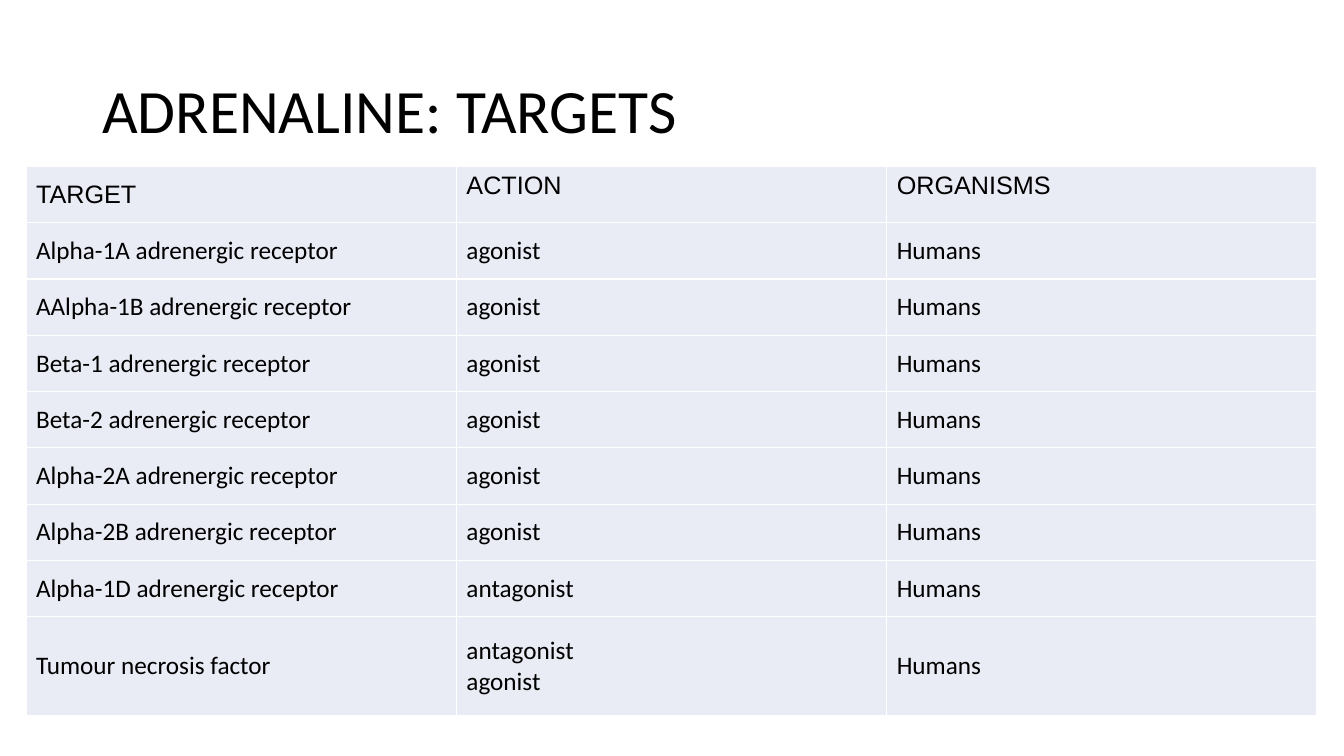
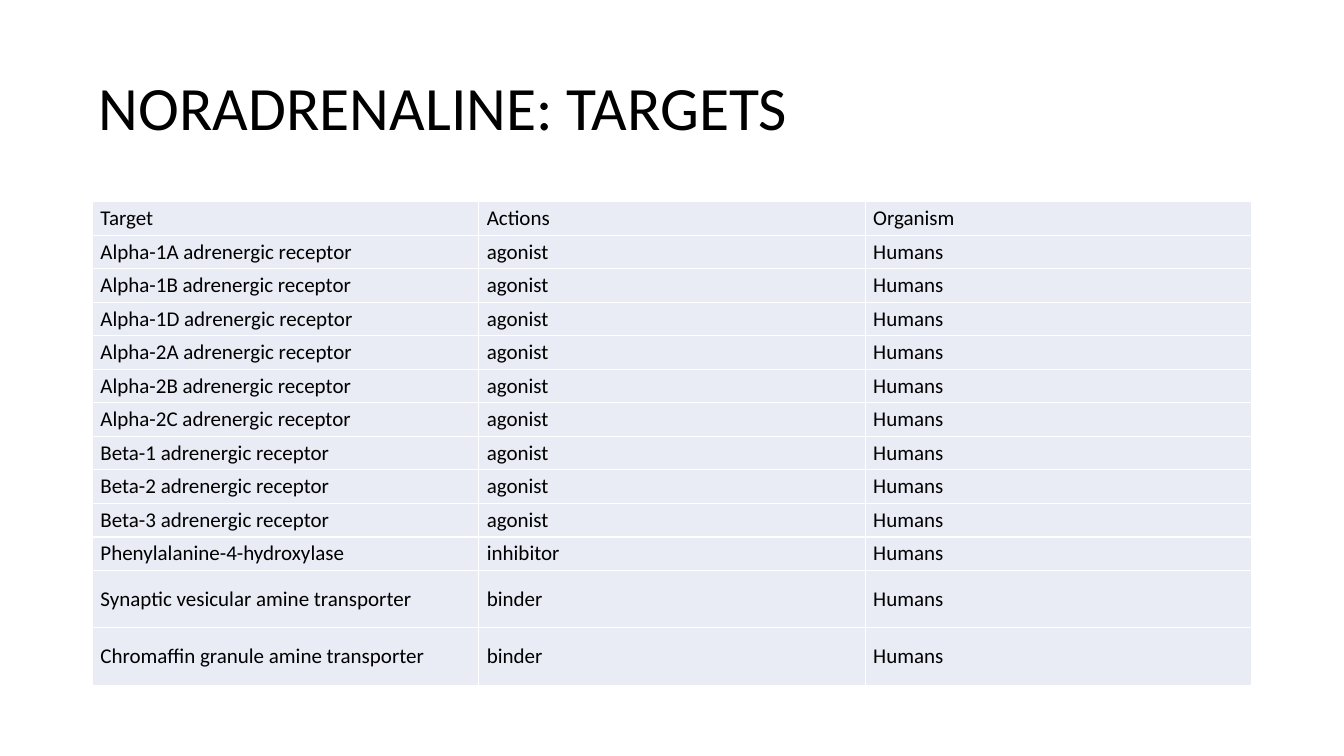
from lxml import etree
from pptx import Presentation
from pptx import util as u
from pptx.dml.color import RGBColor
from pptx.enum import text
from pptx.oxml.ns import qn

BLACK = RGBColor(0x00, 0x00, 0x00)
WHITE = RGBColor(0xFF, 0xFF, 0xFF)
CELL_FILL = RGBColor(0xE9, 0xEB, 0xF5)
BODY_FONT = "Calibri"
HEADER_FONT = "Arial"
BORDER_WIDTH = u.Pt(1)

# The slide is a grid of 160 columns by 90 rows of square units
SLIDE_WIDTH, SLIDE_HEIGHT = u.Inches(13.333), u.Inches(7.5)
UNIT = SLIDE_HEIGHT / 90
TITLE_SIZE = (138, 17.4)

ADRENALINE = [
    ("TARGET", "ACTION", "ORGANISMS"),
    ("Alpha-1A adrenergic receptor", "agonist", "Humans"),
    ("AAlpha-1B adrenergic receptor", "agonist", "Humans"),
    ("Beta-1 adrenergic receptor", "agonist", "Humans"),
    ("Beta-2 adrenergic receptor", "agonist", "Humans"),
    ("Alpha-2A adrenergic receptor", "agonist", "Humans"),
    ("Alpha-2B adrenergic receptor", "agonist", "Humans"),
    ("Alpha-1D adrenergic receptor", "antagonist", "Humans"),
    ("Tumour necrosis factor", "antagonist\nagonist", "Humans"),
]
NORADRENALINE = [
    ("Target", "Actions", "Organism"),
    ("Alpha-1A adrenergic receptor", "agonist", "Humans"),
    ("Alpha-1B adrenergic receptor", "agonist", "Humans"),
    ("Alpha-1D adrenergic receptor", "agonist", "Humans"),
    ("Alpha-2A adrenergic receptor", "agonist", "Humans"),
    ("Alpha-2B adrenergic receptor", "agonist", "Humans"),
    ("Alpha-2C adrenergic receptor", "agonist", "Humans"),
    ("Beta-1 adrenergic receptor", "agonist", "Humans"),
    ("Beta-2 adrenergic receptor", "agonist", "Humans"),
    ("Beta-3 adrenergic receptor", "agonist", "Humans"),
    ("Phenylalanine-4-hydroxylase", "inhibitor", "Humans"),
    ("Synaptic vesicular amine transporter", "binder", "Humans"),
    ("Chromaffin granule amine transporter", "binder", "Humans"),
]


def grid(*units):
    """Turn grid units into slide lengths."""
    return [u.Emu(round(value * UNIT)) for value in units]


def style_text(text_frame, font_name, size):
    for paragraph in text_frame.paragraphs:
        for run in paragraph.runs:
            run.font.name = font_name
            run.font.size = u.Pt(size)
            run.font.color.rgb = BLACK


def add_title(slide, title, corner):
    shape = slide.shapes.add_textbox(*grid(*corner, *TITLE_SIZE))
    text_frame = shape.text_frame
    text_frame.word_wrap = True
    text_frame.vertical_anchor = text.MSO_ANCHOR.MIDDLE
    text_frame.text = title
    text_frame.paragraphs[0].line_spacing = 0.9
    style_text(text_frame, BODY_FONT, 44)


def add_borders(cell):
    properties = cell._tc.get_or_add_tcPr()
    for index, side in enumerate(("a:lnL", "a:lnR", "a:lnT", "a:lnB")):
        line = etree.Element(qn(side), w=str(BORDER_WIDTH))
        fill = etree.SubElement(line, qn("a:solidFill"))
        etree.SubElement(fill, qn("a:srgbClr"), val=str(WHITE))
        properties.insert(index, line)


def add_target_table(slide, rows, box, tall_rows, tall_height, size, inset=None):
    """Fill the box: the last rows are tall, the others share the rest."""
    column_count = len(rows[0])
    frame = slide.shapes.add_table(len(rows), column_count, *grid(*box))
    table = frame.table
    table.first_row = table.horz_banding = False

    # Column widths and row heights
    width, height = box[2:]
    short_rows = len(rows) - tall_rows
    short_height = (height - tall_rows * tall_height) / short_rows
    for column in table.columns:
        column.width = grid(width / column_count)[0]
    for index, row in enumerate(table.rows):
        row.height = grid(short_height if index < short_rows else tall_height)[0]

    # Cells
    for row_index, row in enumerate(rows):
        for column_index, words in enumerate(row):
            cell = table.cell(row_index, column_index)
            cell.text_frame.text = words
            cell.vertical_anchor = text.MSO_ANCHOR.MIDDLE
            if inset:
                cell.margin_left = cell.margin_right = u.Inches(inset[0])
                cell.margin_top = cell.margin_bottom = u.Inches(inset[1])
            cell.fill.solid()
            cell.fill.fore_color.rgb = CELL_FILL
            add_borders(cell)
            style_text(cell.text_frame, BODY_FONT, size)
    return table


def add_blank_slide(presentation):
    return presentation.slides.add_slide(presentation.slide_layouts[6])


def build_adrenaline(presentation):
    slide = add_blank_slide(presentation)
    add_title(slide, "ADRENALINE: TARGETS", (11, 4.8))
    table = add_target_table(slide, ADRENALINE, (3.1, 19.8, 153.7, 65.4),
                             tall_rows=1, tall_height=11.76, size=18)
    # Header row: its own font, all but the first cell set at the top
    for index in range(len(table.columns)):
        cell = table.cell(0, index)
        style_text(cell.text_frame, HEADER_FONT, 18)
        if index:
            cell.vertical_anchor = text.MSO_ANCHOR.TOP


def build_noradrenaline(presentation):
    slide = add_blank_slide(presentation)
    add_title(slide, "NORADRENALINE: TARGETS", (10.6, 4.4))
    add_target_table(slide, NORADRENALINE, (11, 24, 138, 57.6),
                     tall_rows=2, tall_height=6.84, size=15, inset=(0.08, 0.04))


def main():
    presentation = Presentation()
    presentation.slide_width = SLIDE_WIDTH
    presentation.slide_height = SLIDE_HEIGHT
    build_adrenaline(presentation)
    build_noradrenaline(presentation)
    presentation.save("out.pptx")


if __name__ == "__main__":
    main()
